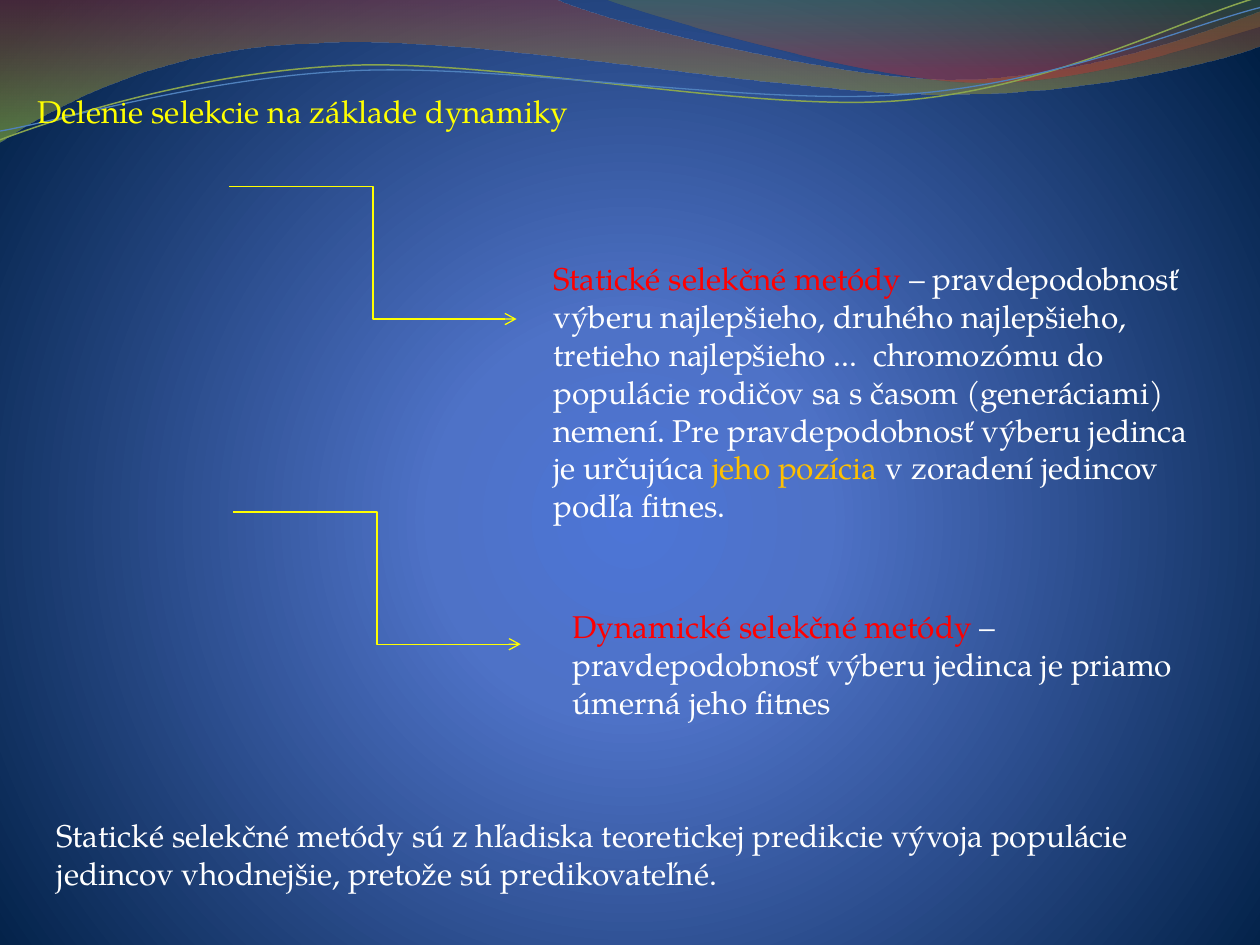
from collections import namedtuple
from dataclasses import dataclass

from lxml.etree import SubElement
from pptx import Presentation
from pptx.dml.color import RGBColor
from pptx.enum.shapes import MSO_CONNECTOR as Connector
from pptx.enum.text import MSO_AUTO_SIZE as AutoSize
from pptx.oxml.ns import qn
from pptx.util import Pt

Box = namedtuple("Box", "left top width height")


@dataclass(frozen=True)
class Theme:
    font: str = "TeX Gyre Pagella"
    size: float = 18
    title: str = "FFFF00"
    arrow: str = "FFFF00"
    body: str = "FFFFFF"
    term: str = "FF0000"
    accent: str = "FFC000"
    arrow_width: float = 0.75
    # Gradient stops: position, colour, opacity (all in percent)
    backdrop: tuple = ((0, "4D75D6", 100), (25, "4E72C7", 100), (100, "001F44", 100))
    wide_wave: tuple = ((0, "973330", 45), (100, "95C238", 55))
    right_wave: tuple = ((0, "769537", 30), (80, "BE3330", 45))
    green_line: tuple = ("89A54F", 0.85)
    blue_line: tuple = ("4F81BD", 0.75)


THEME = Theme()

# Outlines in points: a start, then steps of one point (line) or three (curve)
WIDE_WAVE = [
    [(0, 0)], [(316.8, -0.7)],
    [(342.7, 12.2), (478.1, 45.4), (545.8, 45.4)],
    [(614.2, 45.4), (689.8, 18.7), (720, 6.5)],
    [(720.7, 25.9)],
    [(707.8, 31.7), (626.4, 54.7), (537.1, 54)],
    [(447.8, 54), (275, 20.2), (185, 24.5)],
    [(92.9, 25.9), (33.1, 59.8), (-0.7, 81.4)],
    [(0, 0)],
]
RIGHT_WAVE = [
    [(344.9, -0.7)],
    [(366.5, 7.9), (491, 44.6), (553.7, 46.8)],
    [(616.3, 49.7), (691.9, 23), (720, 15.1)],
    [(720, 0)], [(344.9, -0.7)],
]
GREEN_LINE = [
    [(0, 79.9)],
    [(34.6, 67), (113.8, 41), (199.4, 37.4)],
    [(284.4, 33.8), (427, 64.1), (513.4, 57.6)],
    [(599.8, 51.1), (675.4, 10.8), (718.6, -1.4)],
]
BLUE_LINE = [
    [(0, 74.9)],
    [(33.8, 69.1), (118.1, 43.9), (203.8, 40.3)],
    [(290.2, 36.7), (429.8, 60.5), (516.2, 54)],
    [(601.9, 48.2), (677.5, 15.1), (720, 4.3)],
]


def set_gradient(fill, owner, stops, angle=None, focus=None):
    """Fill with stops, along an angle or around a focus rectangle."""
    fill.gradient()
    gradient = owner.find(".//" + qn("a:gradFill"))
    for child in list(gradient):
        gradient.remove(child)
    stop_list = SubElement(gradient, qn("a:gsLst"))
    for position, color, opacity in stops:
        stop = SubElement(stop_list, qn("a:gs"), pos=str(position * 1000))
        rgb = SubElement(stop, qn("a:srgbClr"), val=color)
        if opacity < 100:
            SubElement(rgb, qn("a:alpha"), val=str(opacity * 1000))
    if focus:
        circle = SubElement(gradient, qn("a:path"), {"path": "circle"})
        sides = {side: str(share * 1000) for side, share in zip("ltrb", focus)}
        SubElement(circle, qn("a:fillToRect"), sides)
    else:
        SubElement(gradient, qn("a:lin"), ang=str(angle * 60000), scaled="0")


def add_outline(slide, box, outline, close):
    start, *rest = [(Pt(x), Pt(y)) for step in outline for x, y in step]
    builder = slide.shapes.build_freeform(*start)
    builder.add_line_segments(rest, close=close)
    shape = builder.convert_to_shape(Pt(box.left), Pt(box.top))
    shape.shadow.inherit = False

    # Join each three points of a curved step into one Bezier segment
    lines = iter(shape.element.findall(".//" + qn("a:lnTo")))
    for step in outline[1:]:
        segment, *others = [next(lines) for _ in step]
        if others:
            segment.tag = qn("a:cubicBezTo")
            for line in others:
                segment.append(line[0])
                line.getparent().remove(line)
    return shape


def add_header(slide, box):
    # Translucent waves
    for outline, stops in ((WIDE_WAVE, THEME.wide_wave), (RIGHT_WAVE, THEME.right_wave)):
        wave = add_outline(slide, box, outline, close=True)
        set_gradient(wave.fill, wave.element, stops, angle=90)
        wave.line.fill.background()
    # Thin lines along the waves
    for outline, (color, width) in ((GREEN_LINE, THEME.green_line),
                                    (BLUE_LINE, THEME.blue_line)):
        curve = add_outline(slide, box, outline, close=False)
        curve.fill.background()
        curve.line.color.rgb = RGBColor.from_string(color)
        curve.line.width = Pt(width)


def add_text(slide, box, runs):
    frame = slide.shapes.add_textbox(*map(Pt, box)).text_frame
    frame.word_wrap = True
    frame.auto_size = AutoSize.SHAPE_TO_FIT_TEXT
    for words, color in runs:
        run = frame.paragraphs[0].add_run()
        run.text = words
        run.font.name = THEME.font
        run.font.size = Pt(THEME.size)
        run.font.color.rgb = RGBColor.from_string(color)


def add_arrow(slide, box):
    """Elbow arrow from the top left to the bottom right of the box."""
    arrow = slide.shapes.add_connector(
        Connector.ELBOW, Pt(box.left), Pt(box.top),
        Pt(box.left + box.width), Pt(box.top + box.height))
    arrow.line.color.rgb = RGBColor.from_string(THEME.arrow)
    arrow.line.width = Pt(THEME.arrow_width)
    properties = arrow.element.spPr
    SubElement(properties.find(qn("a:ln")), qn("a:tailEnd"), type="arrow")
    SubElement(properties, qn("a:effectLst"))


def add_branch(slide, box, text_offset, runs):
    """Arrow at the box's top left, description at the offset within it."""
    add_arrow(slide, Box(box.left, box.top, 164.2, 75.6))
    dx, dy = text_offset
    add_text(slide, Box(box.left + dx, box.top + dy, box.width - dx, box.height - dy), runs)


def main():
    deck = Presentation()
    deck.slide_width, deck.slide_height = Pt(720), Pt(540)
    slide = deck.slides.add_slide(deck.slide_layouts[6])
    set_gradient(slide.background.fill, slide.element, THEME.backdrop,
                 focus=(10, 110, 10, 100))

    add_header(slide, Box(0, 0, 720, 82))

    # Title
    add_text(slide, Box(14.4, 49, 487.4, 28.8),
             [("Delenie selekcie na základe dynamiky", THEME.title)])

    # Static methods
    add_branch(slide, Box(131, 106.7, 558.3, 197.8), (178.2, 38), [
        ("Statické selekčné metódy ", THEME.term),
        ("– pravdepodobnosť výberu najlepšieho, druhého najlepšieho, tretieho "
         "najlepšieho ...  chromozómu do populácie rodičov sa s časom (generáciami) "
         "nemení. Pre pravdepodobnosť výberu jedinca je určujúca ", THEME.body),
        ("jeho pozícia ", THEME.accent),
        ("v zoradení jedincov podľa fitnes.", THEME.body),
    ])

    # Dynamic methods
    add_branch(slide, Box(133.3, 292.5, 555.5, 123.8), (186.8, 51.1), [
        ("Dynamické selekčné metódy ", THEME.term),
        ("– pravdepodobnosť výberu jedinca je priamo úmerná jeho fitnes", THEME.body),
    ])

    # Conclusion
    add_text(slide, Box(25.3, 463, 663.1, 51.1), [
        ("Statické selekčné metódy sú z hľadiska teoretickej predikcie vývoja populácie "
         "jedincov vhodnejšie, pretože sú predikovateľné.", THEME.body)])

    deck.save("out.pptx")


if __name__ == "__main__":
    main()
